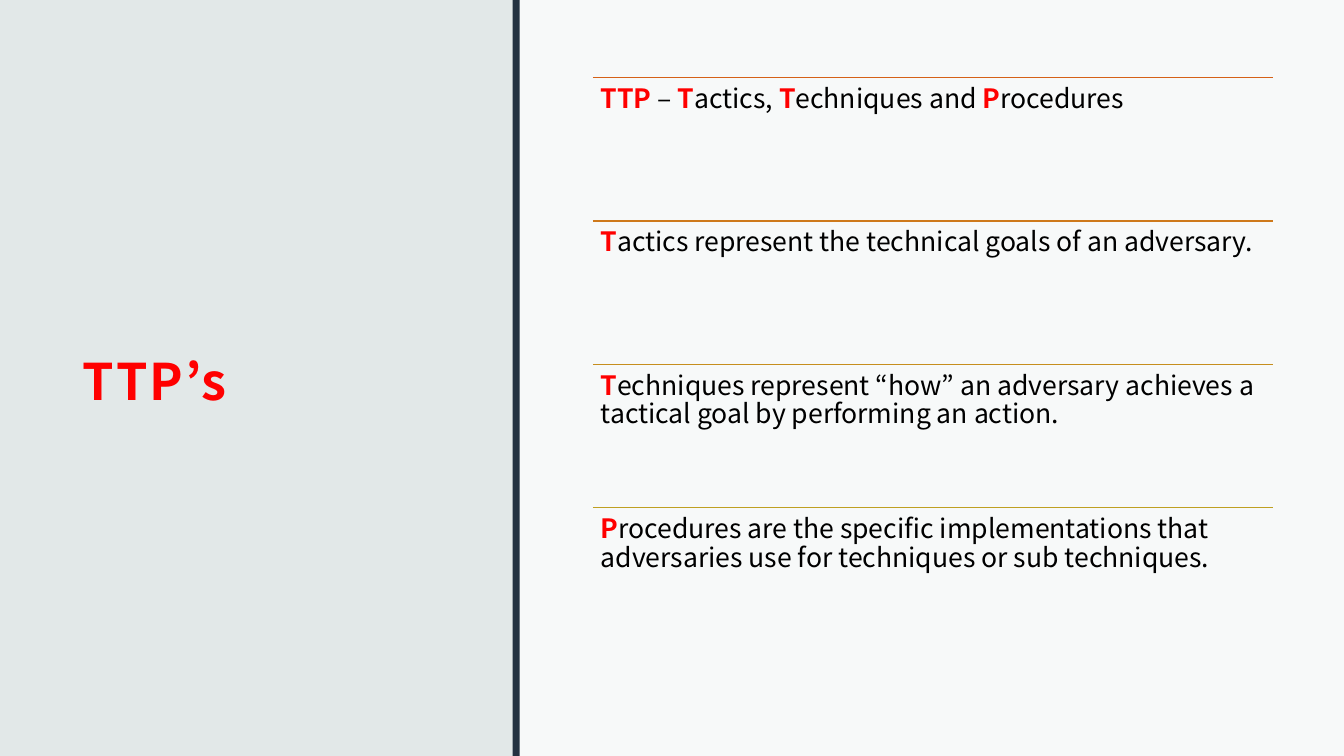
"""Build a slide that explains tactics, techniques and procedures."""
from lxml import etree
from pptx import Presentation, util as u
from pptx.dml.color import RGBColor
from pptx.enum import shapes, text
from pptx.oxml.ns import qn

TITLE = "TTP’s"
ITEMS = [
    ("rule1", ["TTP", " – ", "T", "actics, ", "T", "echniques and ", "P", "rocedures"]),
    ("rule2", ["T", "actics represent the technical goals of an adversary."]),
    ("rule3", ["T", "echniques represent “how” an adversary achieves a "
                    "tactical goal by performing an action."]),
    ("rule4", ["P", "rocedures are the specific implementations that "
                    "adversaries use for techniques or sub techniques."]),
]
COLORS = {
    "background": "E2E8E8", "panel": "FFFFFF", "bar": "243241",
    "accent": "FF0000", "body": "000000",
    "rule1": "D56117", "rule2": "CE791B", "rule3": "C68E1E", "rule4": "BFA022",
}
FONT = "Noto Sans CJK JP"
SLIDE_WIDTH, SLIDE_HEIGHT = u.Cm(33.87), u.Cm(19.05)
PANEL_LEFT = u.Cm(12.95)
BAR_LEFT, BAR_WIDTH = u.Cm(12.92), u.Cm(0.18)
LIST_LEFT, LIST_TOP = u.Cm(14.94), u.Cm(1.96)
LIST_WIDTH, ROW_HEIGHT = u.Cm(17.15), u.Cm(3.61)


def color(name):
    """Return the named colour."""
    return RGBColor.from_string(COLORS[name])


def write(frame, parts, size, line_spacing, inset, bottom=None, spacing=0,
          anchor=text.MSO_ANCHOR.TOP):
    """Write runs that alternate between bold accent and plain body text."""
    frame.word_wrap = True
    frame.auto_size = text.MSO_AUTO_SIZE.NONE
    frame.vertical_anchor = anchor
    frame.margin_left = frame.margin_right = frame.margin_top = inset
    frame.margin_bottom = inset if bottom is None else bottom
    paragraph = frame.paragraphs[0]
    paragraph.alignment = text.PP_ALIGN.LEFT
    paragraph.line_spacing = line_spacing
    for index, part in enumerate(parts):
        accented = index % 2 == 0
        run = paragraph.add_run()
        run.text = part
        run.font.name = FONT
        run.font.size = u.Pt(size)
        run.font.bold = accented
        run.font.color.rgb = color("accent" if accented else "body")
        if spacing:
            run.font._element.set("spc", str(spacing))


def add_block(slide, left, width, fill, opacity=None):
    """Add a full-height rectangle without an outline."""
    shape = slide.shapes.add_shape(
        shapes.MSO_SHAPE.RECTANGLE, left, 0, width, SLIDE_HEIGHT)
    shape.shadow.inherit = False
    shape.line.fill.background()
    shape.fill.solid()
    shape.fill.fore_color.rgb = color(fill)
    if opacity is not None:
        fill_color = shape._element.spPr.find(qn("a:solidFill"))[0]
        etree.SubElement(fill_color, qn("a:alpha")).set("val", str(opacity * 1000))


def add_item(slide, top, rule, parts):
    """Add one list row: a rule with its text below."""
    line = slide.shapes.add_connector(
        shapes.MSO_CONNECTOR.STRAIGHT, LIST_LEFT, top, LIST_LEFT + LIST_WIDTH, top)
    line.line.color.rgb = color(rule)
    line.line.width = u.Pt(1)
    etree.SubElement(line._element.spPr, qn("a:effectLst"))
    box = slide.shapes.add_textbox(LIST_LEFT, top, LIST_WIDTH, ROW_HEIGHT)
    write(box.text_frame, parts, size=19, line_spacing=0.9, inset=u.Cm(0.2))


def main():
    """Build and save the presentation."""
    presentation = Presentation()
    presentation.slide_width, presentation.slide_height = SLIDE_WIDTH, SLIDE_HEIGHT
    slide = presentation.slides.add_slide(presentation.slide_layouts[5])
    slide.background.fill.solid()
    slide.background.fill.fore_color.rgb = color("background")

    title = slide.shapes.title
    title.left, title.top = u.Cm(1.78), u.Cm(1.96)
    title.width, title.height = u.Cm(9.47), u.Cm(14.43)
    write(title.text_frame, [TITLE], size=36, line_spacing=1.5, inset=u.Cm(0.3),
          bottom=u.Cm(0.25), spacing=150, anchor=text.MSO_ANCHOR.MIDDLE)

    add_block(slide, PANEL_LEFT, SLIDE_WIDTH - PANEL_LEFT, "panel", opacity=75)
    add_block(slide, BAR_LEFT, BAR_WIDTH, "bar")
    for index, (rule, parts) in enumerate(ITEMS):
        add_item(slide, LIST_TOP + index * ROW_HEIGHT, rule, parts)

    presentation.save("out.pptx")


if __name__ == "__main__":
    main()
